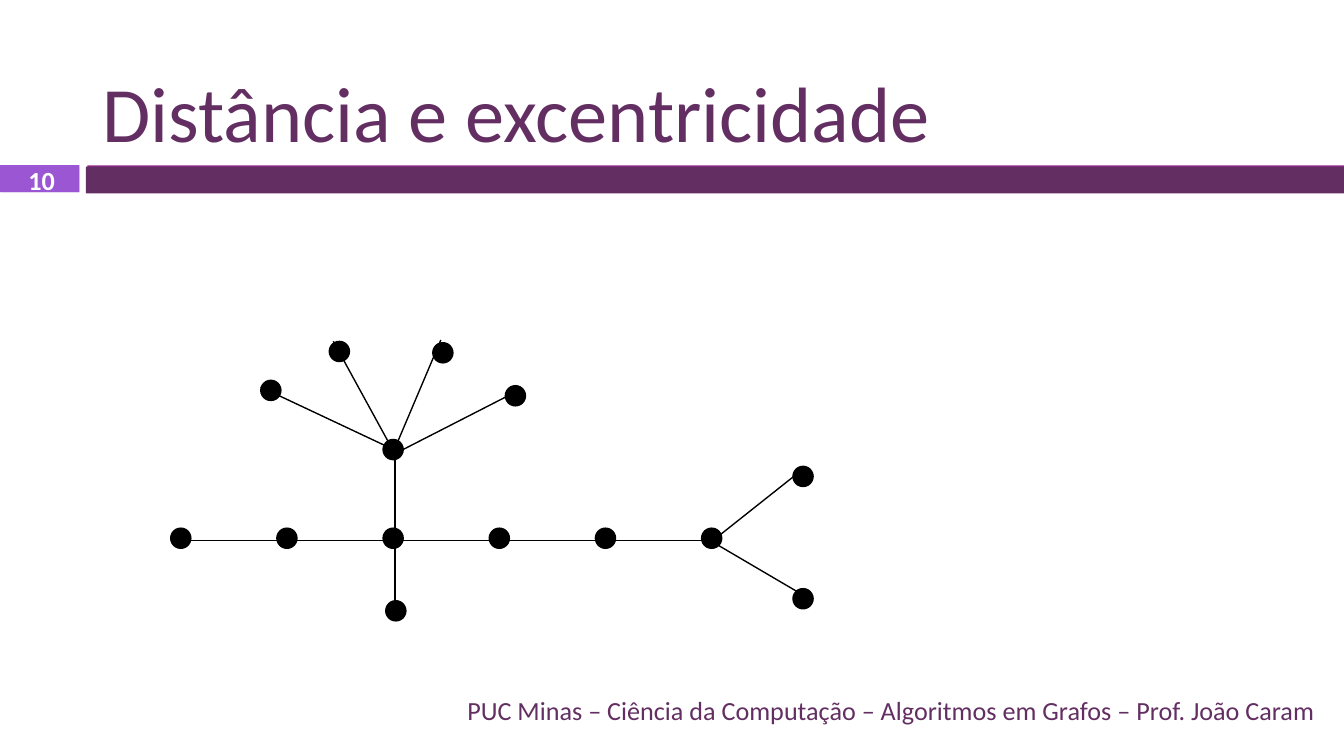
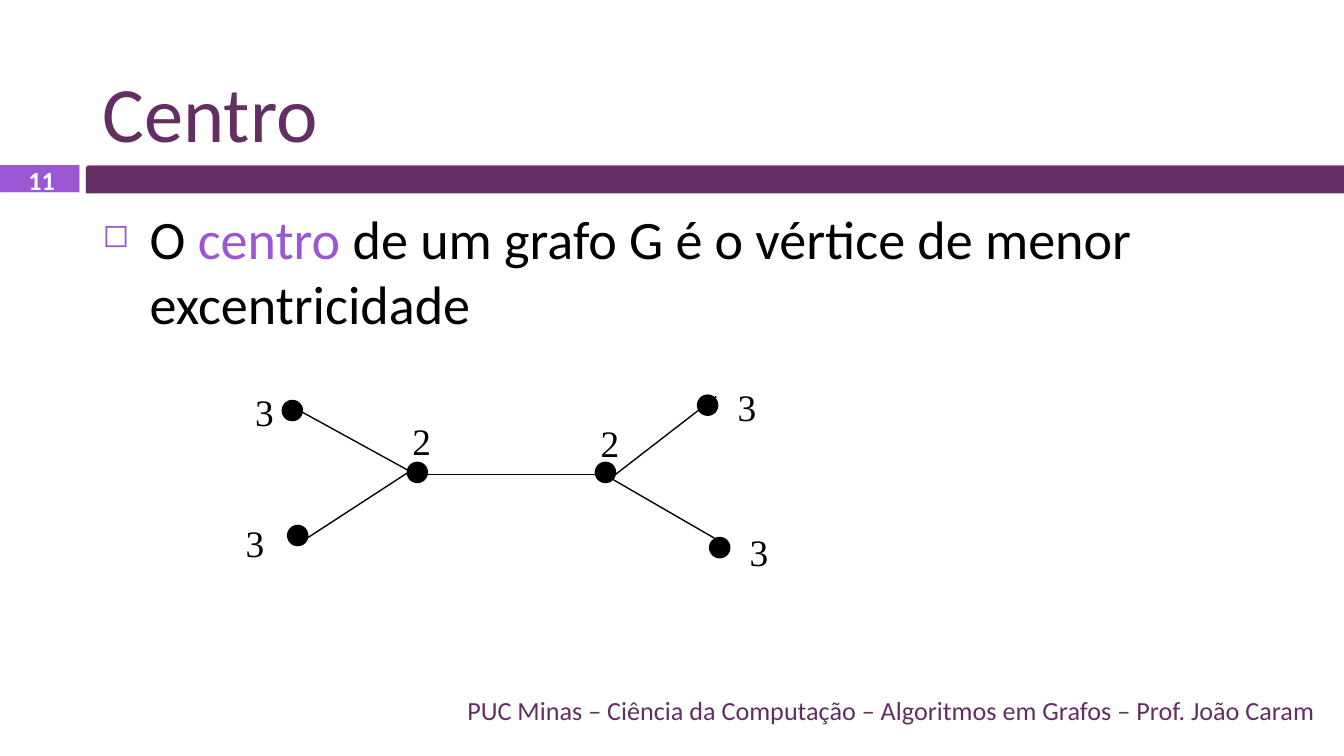
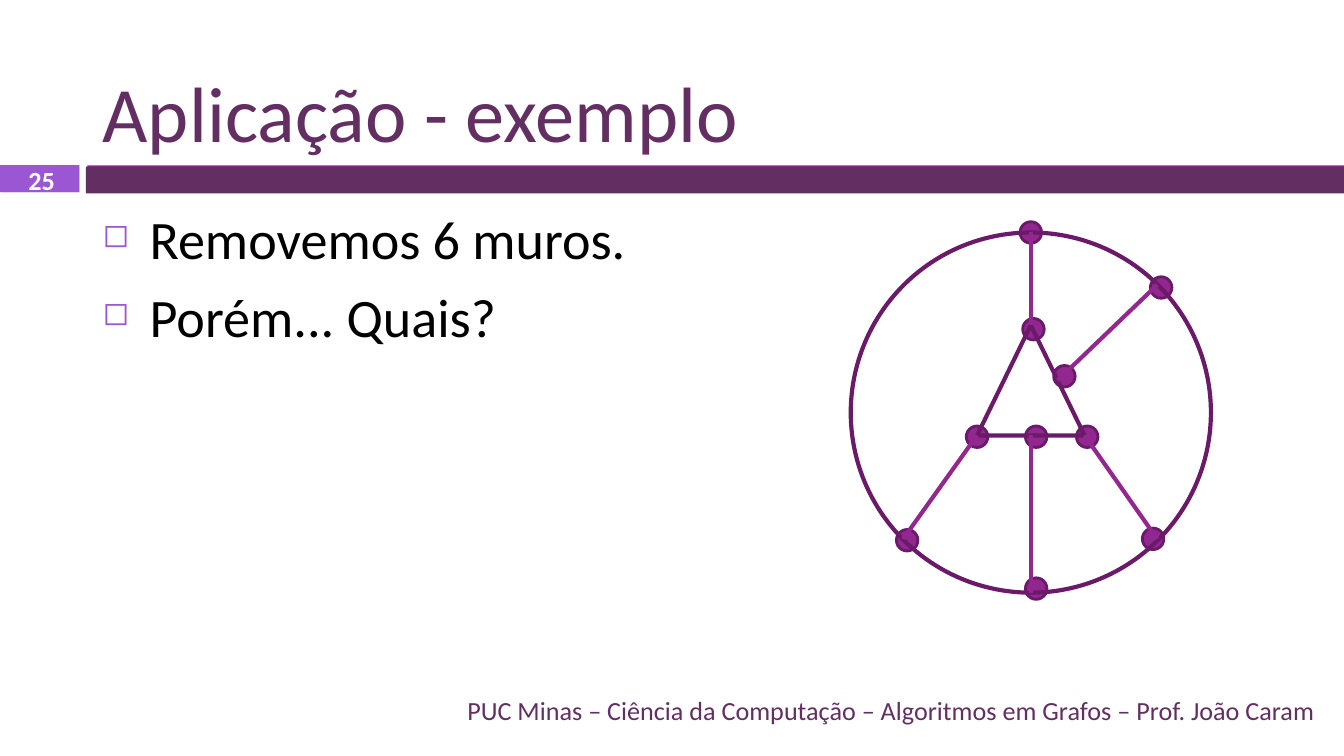
from dataclasses import dataclass
from typing import Any, NamedTuple

from lxml.etree import SubElement
from pptx import Presentation
from pptx.dml.color import RGBColor
from pptx.enum.shapes import MSO_CONNECTOR, MSO_SHAPE
from pptx.enum.text import MSO_ANCHOR, MSO_AUTO_SIZE, PP_ALIGN
from pptx.oxml.ns import qn
from pptx.util import Emu, Inches, Pt

COLUMNS = 100
SLIDE_W = Inches(10)
SLIDE_H = Emu(SLIDE_W * 9 // 16)
CELL = SLIDE_W / COLUMNS

COLORS = {
    "plum": "632E62",
    "violet": "9B57D3",
    "magenta": "92278F",
    "wine": "6A1A68",
    "black": "000000",
    "white": "FFFFFF",
}
FOOTER = "PUC Minas – Ciência da Computação – Algoritmos em Grafos – Prof. João Caram"


class Box(NamedTuple):
    col: float
    row: float
    cols: float
    rows: float


class Edge(NamedTuple):
    col1: float
    row1: float
    col2: float
    row2: float


class Run(NamedTuple):
    text: str
    color: str = "black"


class Label(NamedTuple):
    text: str
    col: float
    row: float


@dataclass(frozen=True)
class Outline:
    color: str
    width: float


@dataclass(frozen=True)
class TextStyle:
    size: float
    name: str = "Calibri"
    bold: bool = False
    align: PP_ALIGN = PP_ALIGN.LEFT
    anchor: MSO_ANCHOR = MSO_ANCHOR.TOP
    bullet: bool = False
    wrap: bool = True
    auto_size: MSO_AUTO_SIZE = MSO_AUTO_SIZE.NONE


@dataclass(frozen=True)
class Graph:
    nodes: list[tuple[float, float]]
    edges: list[Edge]
    node_size: float
    fill: str
    node_line: Outline
    edge_line: Outline


BANDS = [
    (Box(0.1, 12.4, 5.8, 1.9), "violet"),
    (Box(6.5, 12.3, 93.5, 1.9), "magenta"),
    (Box(6.4, 12.4, 93.6, 2), "plum"),
    (Box(0, 12.3, 5.9, 2), "violet"),
]
TITLE_BOX = Box(6.65, 1.3, 92.2, 11)
NUMBER_BOX = Box(0.2, 12.4, 5.8, 2)
FOOTER_BOX = Box(6.65, 51.3, 92.2, 3)
BODY_BOX = Box(6.65, 14.8, 92.2, 35.8)
HALF_BODY_BOX = BODY_BOX._replace(cols=52.6)

TITLE = TextStyle(42, anchor=MSO_ANCHOR.BOTTOM)
NUMBER = TextStyle(14, bold=True, align=PP_ALIGN.CENTER, anchor=MSO_ANCHOR.MIDDLE)
FOOT = TextStyle(14, align=PP_ALIGN.RIGHT, anchor=MSO_ANCHOR.MIDDLE)
BODY = TextStyle(29, bullet=True)
DEGREE = TextStyle(20, "Times New Roman", wrap=False,
                   auto_size=MSO_AUTO_SIZE.SHAPE_TO_FIT_TEXT)

THIN = Outline("black", 0.75)
WALL = Outline("wine", 2.25)

TREE = Graph(
    nodes=[(12.7 + 7.9 * i, 39.3) for i in range(6)] + [
        (59, 43.8), (28.7, 44.7), (59, 34.7), (28.5, 32.7),
        (19.4, 28.3), (24.5, 25.4), (32.2, 25.5), (37.6, 28.7),
    ],
    edges=[
        Edge(13.6, 40.2, 53.3, 40.2),
        Edge(29.4, 40.6, 29.4, 33.1),
        Edge(29.6, 33.6, 19.4, 28.8),
        Edge(29.4, 33.8, 24.8, 25.4),
        Edge(29.2, 33.8, 32.8, 25.3),
        Edge(29.7, 33.6, 38.3, 29.2),
        Edge(53.2, 40.1, 59.5, 35.1),
        Edge(52.8, 40.2, 60.3, 44.6),
        Edge(29.4, 46.1, 29.4, 40),
    ],
    node_size=1.5, fill="black", node_line=THIN, edge_line=THIN,
)
CENTER = Graph(
    nodes=[(30.3, 34.4), (44.3, 34.4), (21, 29.8),
           (21.4, 39.1), (51.9, 29.4), (52.8, 40)],
    edges=[
        Edge(22, 30.4, 31.1, 35.4),
        Edge(45.8, 35.3, 53.3, 29.5),
        Edge(31.8, 35.3, 45.3, 35.3),
        Edge(22.3, 40.4, 30.3, 35.2),
        Edge(45.3, 35.5, 53.6, 40.3),
    ],
    node_size=1.5, fill="black", node_line=THIN, edge_line=THIN,
)
DEGREES = [
    Label("3", 18, 28.5), Label("3", 17.3, 38.2), Label("3", 53.9, 28.1),
    Label("3", 54.8, 38.9), Label("2", 29.7, 30.6), Label("2", 43.7, 30.8),
]
OUTER_WALL = Box(63.3, 17.3, 26.8, 26.8)
INNER_WALL = Box(72.7, 24.2, 8, 8.2)
MAZE = Graph(
    nodes=[(75.9, 16.5), (76.1, 23.7), (66.7, 39.4), (71.9, 31.7), (76.3, 31.7),
           (76.3, 43), (85, 39.3), (80.1, 31.7), (78.4, 27.2), (85.6, 20.6)],
    edges=[
        Edge(76.7, 32.4, 76.7, 44.1),
        Edge(72.7, 32.4, 67.2, 40.1),
        Edge(80.7, 32.4, 86.1, 40.1),
        Edge(78.7, 28.3, 86.1, 21.2),
        Edge(76.7, 24.2, 76.7, 17.3),
    ],
    node_size=1.6, fill="magenta",
    node_line=Outline("wine", 1.5), edge_line=Outline("magenta", 2.25),
)


def grid(*cells: float) -> list[Emu]:
    return [Emu(round(c * CELL)) for c in cells]


def rgb(name: str) -> RGBColor:
    return RGBColor.from_string(COLORS[name])


def apply(target: Any, values: dict[str, Any]) -> None:
    for key, value in values.items():
        setattr(target, key, value)


def set_line(line: Any, outline: Outline) -> None:
    line.color.rgb = rgb(outline.color)
    line.width = Pt(outline.width)


def add_outline(s: Any, kind: MSO_SHAPE, box: Box, fill: str | None = None,
                outline: Outline | None = None) -> None:
    sp = s.shapes.add_shape(kind, *grid(*box))
    sp.shadow.inherit = False
    if fill:
        sp.fill.solid()
        sp.fill.fore_color.rgb = rgb(fill)
    else:
        sp.fill.background()
    if outline:
        set_line(sp.line, outline)
    else:
        sp.line.fill.background()


def add_edge(s: Any, edge: Edge, outline: Outline) -> None:
    sp = s.shapes.add_connector(MSO_CONNECTOR.STRAIGHT, *grid(*edge))
    set_line(sp.line, outline)
    SubElement(sp._element.spPr, qn("a:effectLst"))


def add_bullet(p: Any) -> None:
    pPr = p._p.get_or_add_pPr()
    indent = Inches(0.35)
    pPr.set("marL", str(indent))
    pPr.set("indent", str(-indent))
    color = SubElement(pPr, qn("a:buClr"))
    SubElement(color, qn("a:srgbClr"), val=COLORS["violet"])
    SubElement(pPr, qn("a:buSzPct"), val="60000")
    SubElement(pPr, qn("a:buChar"), char="◻")


def add_text(s: Any, box: Box, paragraphs: list[list[Run]], style: TextStyle) -> None:
    tf = s.shapes.add_textbox(*grid(*box)).text_frame
    side, edge = grid(1, 0.5)
    apply(tf, {
        "word_wrap": style.wrap, "auto_size": style.auto_size,
        "vertical_anchor": style.anchor, "margin_left": side,
        "margin_right": side, "margin_top": edge, "margin_bottom": edge,
    })
    for i, runs in enumerate(paragraphs):
        p = tf.add_paragraph() if i else tf.paragraphs[0]
        p.alignment = style.align
        if style.bullet:
            add_bullet(p)
        if i:
            p.space_before = Pt(7)
        for run in runs:
            r = p.add_run()
            r.text = run.text
            apply(r.font, {"size": Pt(style.size), "name": style.name, "bold": style.bold})
            r.font.color.rgb = rgb(run.color)


def add_nodes(s: Any, graph: Graph) -> None:
    for col, row in graph.nodes:
        add_outline(s, MSO_SHAPE.OVAL, Box(col, row, graph.node_size, graph.node_size),
                    graph.fill, graph.node_line)


def add_edges(s: Any, graph: Graph) -> None:
    for edge in graph.edges:
        add_edge(s, edge, graph.edge_line)


def add_slide(prs: Any, title: str, number: int) -> Any:
    s = prs.slides.add_slide(prs.slide_layouts[6])
    for box, fill in BANDS:
        add_outline(s, MSO_SHAPE.RECTANGLE, box, fill)
    add_text(s, TITLE_BOX, [[Run(title, "plum")]], TITLE)
    add_text(s, NUMBER_BOX, [[Run(str(number), "white")]], NUMBER)
    add_text(s, FOOTER_BOX, [[Run(FOOTER, "plum")]], FOOT)
    return s


def distance_slide(prs: Any) -> None:
    s = add_slide(prs, "Distância e excentricidade", 10)
    add_nodes(s, TREE)
    add_edges(s, TREE)


def center_slide(prs: Any) -> None:
    s = add_slide(prs, "Centro", 11)
    add_text(s, BODY_BOX, [[
        Run("O "), Run("centro", "violet"),
        Run(" de um grafo G é o vértice de menor excentricidade"),
    ]], BODY)
    add_nodes(s, CENTER)
    add_edges(s, CENTER)
    for label in DEGREES:
        add_text(s, Box(label.col, label.row, 3.4, 4.4), [[Run(label.text)]], DEGREE)


def maze_slide(prs: Any) -> None:
    s = add_slide(prs, "Aplicação - exemplo", 25)
    add_nodes(s, MAZE)
    add_outline(s, MSO_SHAPE.OVAL, OUTER_WALL, outline=WALL)
    add_outline(s, MSO_SHAPE.ISOSCELES_TRIANGLE, INNER_WALL, outline=WALL)
    add_edges(s, MAZE)
    add_text(s, HALF_BODY_BOX, [[Run("Removemos 6 muros.")], [Run("Porém... Quais?")]], BODY)


def main() -> None:
    prs = Presentation()
    prs.slide_width = SLIDE_W
    prs.slide_height = SLIDE_H
    for build in (distance_slide, center_slide, maze_slide):
        build(prs)
    prs.save("out.pptx")


if __name__ == "__main__":
    main()
